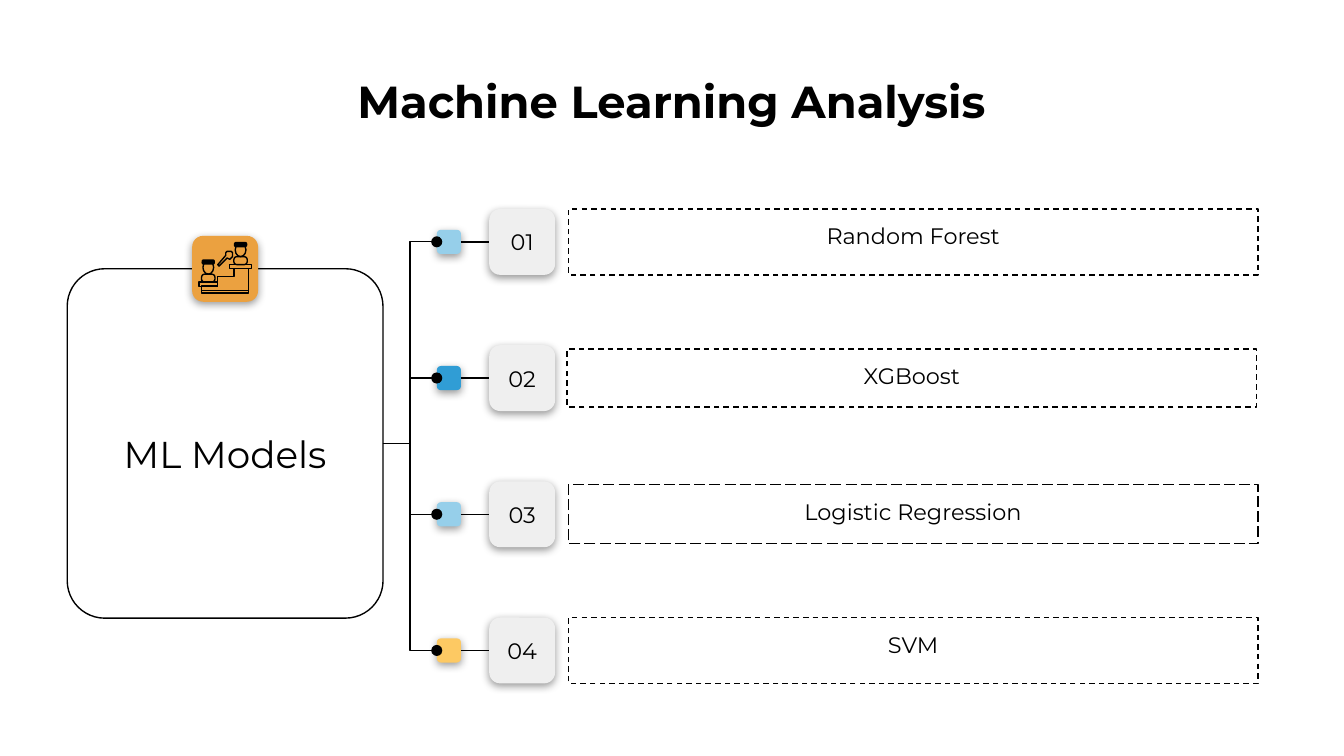
"""Build the machine learning models slide: one card branching to four labelled rows."""
from lxml import etree
from pptx import Presentation
from pptx import util as u
from pptx.dml.color import RGBColor
from pptx.enum import dml, shapes, text
from pptx.oxml.ns import qn

COLORS = {"black": "000000", "white": "FFFFFF", "gray": "EFEFEF", "orange": "EBA140",
          "sky": "96CFEA", "blue": "309DD5", "yellow": "FDC963"}
FONT = "Montserrat"
DASH, LONG = dml.MSO_LINE.DASH, dml.MSO_LINE.LONG_DASH
RECT, ROUND, OVAL = (shapes.MSO_SHAPE.RECTANGLE, shapes.MSO_SHAPE.ROUNDED_RECTANGLE,
                     shapes.MSO_SHAPE.OVAL)

TITLE = "Machine Learning Analysis"
CARD = "ML Models"
ROWS = [
    ("01", "Random Forest", "sky", 4.23, 0.49, DASH),
    ("02", "XGBoost", "blue", 4.22, 0.43, DASH),
    ("03", "Logistic Regression", "sky", 4.23, 0.44, LONG),
    ("04", "SVM", "yellow", 4.23, 0.49, DASH),
]
SLIDE_W = 10
SLIDE_H = SLIDE_W * 9 / 16
FIRST_ROW, LAST_ROW = 1.8, 4.84
ROW_STEP = (LAST_ROW - FIRST_ROW) / (len(ROWS) - 1)
CARD_BOX = (0.5, 2, 2.35, 2.6)
TILE, MARKER = 0.49, 0.18
TILE_X, MARKER_X, LABEL_W = 3.64, 3.25, 5.13

SPEAKERS = [(1.79, 1.8), (1.55, 1.93)]
ICON_OUTLINES = [
    [(171, 197), (187, 197), (187, 200), (171, 200)],
    [(148, 210), (162, 210), (162, 213), (148, 213)],
    [(150, 213), (162, 213), (162, 206), (174, 206), (174, 200), (185, 200),
     (185, 216), (150, 216)],
    [(150, 216), (185, 216), (185, 218), (150, 218)],
    [(162, 197), (168, 190), (168, 188), (169, 187), (172, 187), (173, 188),
     (173, 191), (171, 193), (169, 192), (163, 198)],
]


def rgb(name):
    return RGBColor.from_string(COLORS[name])


def add_text(sp, content, size=12, bold=False, anchor=text.MSO_ANCHOR.TOP):
    tf = sp.text_frame
    tf.word_wrap = True
    tf.vertical_anchor = anchor
    tf.margin_left = tf.margin_right = tf.margin_top = tf.margin_bottom = u.Inches(0.1)
    p = tf.paragraphs[0]
    p.alignment = text.PP_ALIGN.CENTER
    r = p.add_run()
    r.text = content
    r.font.name, r.font.size, r.font.bold = FONT, u.Pt(size), bold
    r.font.color.rgb = rgb("black")


def paint(sp, fill=None, line=None, dash=None):
    sp.shadow.inherit = False
    if fill:
        sp.fill.solid()
        sp.fill.fore_color.rgb = rgb(fill)
    else:
        sp.fill.background()
    if line:
        sp.line.color.rgb, sp.line.width = rgb("black"), u.Pt(line)
        if dash:
            sp.line.dash_style = dash
    else:
        sp.line.fill.background()


def add_box(s, kind, box, radius=None, **style):
    sp = s.shapes.add_shape(kind, *map(u.Inches, box))
    if radius:
        sp.adjustments[0] = radius
    paint(sp, **style)
    return sp


def add_raised(s, x, mid, size, fill):
    sp = add_box(s, ROUND, (x, mid - size / 2, size, size), radius=0.167, fill=fill)
    effects = sp._element.spPr.find(qn("a:effectLst"))
    shadow = etree.SubElement(effects, qn("a:outerShdw"), blurRad="57150", dist="19050",
                              dir="5400000", algn="bl", rotWithShape="0")
    color = etree.SubElement(shadow, qn("a:srgbClr"), val=COLORS["black"])
    etree.SubElement(color, qn("a:alpha"), val="40000")
    return sp


def add_line(s, kind, start, end, dot=False):
    c = s.shapes.add_connector(kind, *map(u.Inches, start + end))
    c.line.color.rgb, c.line.width = rgb("black"), u.Pt(0.75)
    sp_pr = c._element.spPr
    if dot:
        etree.SubElement(sp_pr.find(qn("a:ln")), qn("a:tailEnd"), type="oval")
    etree.SubElement(sp_pr, qn("a:effectLst"))


def add_textbox(s, box, content, **fmt):
    add_text(s.shapes.add_textbox(*map(u.Inches, box)), content, **fmt)


def add_icon(s):
    for points in ICON_OUTLINES:
        builder = s.shapes.build_freeform(*points[0], scale=u.Inches(0.01))
        builder.add_line_segments(points[1:], close=True)
        paint(builder.convert_to_shape(), line=0.75)
    for x, y in SPEAKERS:
        add_box(s, ROUND, (x - 0.05, y + 0.11, 0.1, 0.06), radius=0.4, line=0.75)
        add_box(s, OVAL, (x - 0.04, y + 0.01, 0.08, 0.1), line=0.75)
        add_box(s, ROUND, (x - 0.05, y, 0.1, 0.04), radius=0.4, fill="black")


def add_row(s, mid, number, label, color, label_x, label_h, dash):
    card_x, card_y, card_w, card_h = CARD_BOX
    add_text(add_raised(s, TILE_X, mid, TILE, "gray"), number, anchor=text.MSO_ANCHOR.MIDDLE)
    add_raised(s, MARKER_X, mid, MARKER, color)
    add_line(s, shapes.MSO_CONNECTOR.STRAIGHT, (MARKER_X + MARKER, mid), (TILE_X, mid))
    add_line(s, shapes.MSO_CONNECTOR.ELBOW, (card_x + card_w, card_y + card_h / 2),
             (MARKER_X, mid), dot=True)
    add_text(add_box(s, RECT, (label_x, mid - label_h / 2, LABEL_W, label_h),
                     line=0.75, dash=dash), label)


def main():
    prs = Presentation()
    prs.slide_width, prs.slide_height = u.Inches(SLIDE_W), u.Inches(SLIDE_H)
    s = prs.slides.add_slide(prs.slide_layouts[6])
    add_textbox(s, (0.49, 0.45, 9.01, 0.61), TITLE, size=24, bold=True)
    add_box(s, ROUND, CARD_BOX, radius=0.119, fill="white", line=0.75)
    add_raised(s, 1.43, CARD_BOX[1], TILE, "orange")
    add_icon(s)
    add_textbox(s, (0.62, 2.9, 2.11, 0.74), CARD, size=20, anchor=text.MSO_ANCHOR.BOTTOM)
    for i, row in enumerate(ROWS):
        add_row(s, FIRST_ROW + i * ROW_STEP, *row)
    prs.save("out.pptx")


if __name__ == "__main__":
    main()
